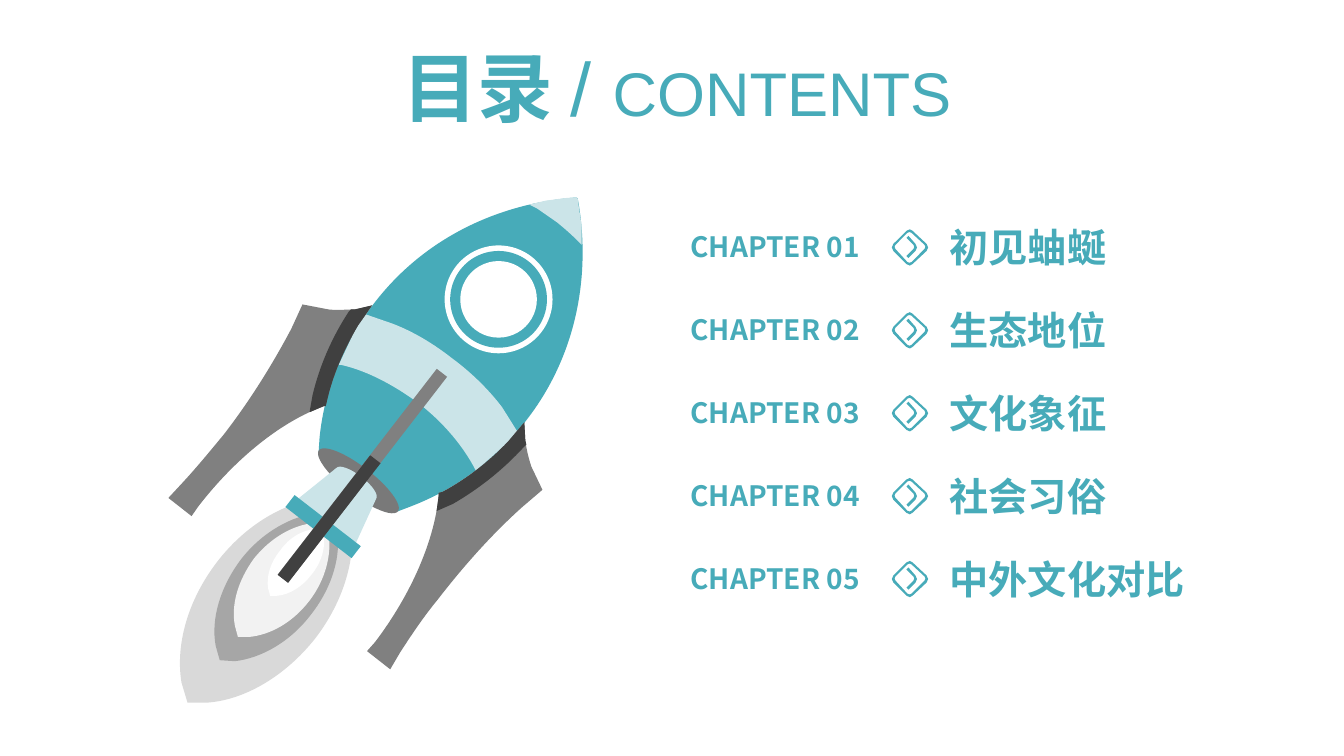
from math import cos, radians, sin

from pptx import Presentation
from pptx.dml.color import RGBColor
from pptx.enum.shapes import MSO_SHAPE as Preset
from pptx.enum.text import MSO_AUTO_SIZE as AutoSize, PP_ALIGN as Align
from pptx.oxml.ns import qn
from pptx.util import Inches, Pt

COLUMNS, ROWS = 1333, 750  # the slide grid: square cells of 0.01 inch
CELL = Inches(0.01)
TEAL, PALE, WHITE = "47ABB9", "CBE4E8", "FFFFFF"
GREY, DARK = "808080", "404040"
CJK = "Noto Sans CJK SC"
ROCKET_TILT, ICON_TILT = 37.7, 45

CHAPTERS = ["初见蚰蜒", "生态地位", "文化象征", "社会习俗", "中外文化对比"]
FIRST_ROW, ROW_STEP = 223, 329 / 4

# Chevron and rounded diamond of the first row's icon
ICON = [
    "M 901,234 L 908,242 C 910,244 910,247 908,249 L 901,256 899,254 906,247 "
    "C 907,246 907,244 906,243 L 899,236 Z",
    "M 904,231 C 903,230 901,230 900,231 L 888,243 C 887,244 887,246 888,247 "
    "L 900,260 C 901,261 903,261 904,260 L 917,247 C 918,246 918,244 917,243 Z "
    "M 905,229 L 919,242 C 921,244 921,247 919,249 L 905,262 "
    "C 904,264 901,264 899,262 L 886,249 C 884,247 884,244 886,242 "
    "L 899,229 C 901,227 904,227 905,229 Z",
]

HULL_AND_FLAMES = [
    (TEAL, "M 572,196 L 573,197 C 587,274 571,354 522,417 491,457 451,486 406,503 "
           "L 393,508 391,508 389,509 C 380,508 364,500 347,487 331,475 319,461 316,452 "
           "L 316,448 317,434 C 322,386 340,340 371,301 420,237 493,202 571,196 Z"),
    ("D9D9D9", "M 342,494 L 348,514 C 354,551 342,595 313,633 283,671 243,694 207,697 "
               "L 186,697 180,677 C 174,640 186,596 215,558 244,520 284,497 321,494 Z"),
    ("A6A6A6", "M 330,509 L 334,524 C 339,550 330,582 309,609 288,637 259,653 233,656 "
               "L 218,655 214,641 C 209,615 218,583 239,555 260,528 289,512 315,509 Z"),
    ("F2F2F2", "M 323,519 L 326,530 C 329,550 323,575 307,596 290,618 268,630 247,632 "
               "L 236,632 233,621 C 229,600 236,576 252,554 269,533 291,521 311,519 Z"),
    (WHITE, "M 319,525 L 321,531 C 323,543 319,558 309,570 300,582 287,590 275,591 "
            "L 268,591 266,584 C 264,572 268,558 278,546 287,533 300,526 312,525 Z"),
]
BAND_AND_NOSE = [
    (PALE, "M 449,356 C 468,370 485,387 498,404 L 513,428 510,432 "
           "C 506,436 502,441 497,445 L 472,467 471,465 "
           "C 460,444 441,420 415,400 388,380 361,367 338,362 L 336,362 350,332 "
           "C 353,326 356,321 360,316 L 363,312 389,321 C 410,329 430,341 449,356 Z"),
    (PALE, "M 572,196 L 573,197 C 574,206 576,216 577,226 L 577,243 571,237 "
           "C 565,231 559,226 553,221 546,216 540,212 533,207 L 525,203 542,199 "
           "C 552,198 561,196 571,196 Z"),
]
NOZZLE = [
    (PALE, "M 358,473 C 369,481 376,491 373,495 L 351,543 293,497 334,464 "
           "C 337,461 348,465 358,473 Z"),
]
FINS = [
    (GREY, "M 369,303 L 355,323 C 341,347 330,372 324,399 L 323,403 321,403 "
           "C 280,418 235,453 197,502 L 190,512 167,494 180,480 "
           "C 194,465 208,448 222,431 249,396 271,360 289,326 L 300,302 326,307 "
           "C 335,308 344,307 352,307 Z"),
    (DARK, "M 369,303 L 355,323 C 341,347 330,372 324,399 L 323,403 321,403 307,409 "
           "310,392 C 317,363 329,335 346,309 L 348,307 352,307 Z"),
    (GREY, "M 520,419 L 504,438 C 485,458 463,475 439,488 L 435,489 435,492 "
           "C 431,535 409,588 372,637 L 364,646 387,664 397,647 "
           "C 408,630 420,612 434,595 461,560 489,529 518,503 L 538,486 527,463 "
           "C 524,454 522,445 521,437 Z"),
    (DARK, "M 520,419 L 504,438 C 485,458 463,475 439,488 L 435,489 435,492 433,507 "
           "449,500 C 475,485 499,466 520,443 L 522,441 521,437 Z"),
]


def rgb(color):
    return RGBColor.from_string(color)


def cells(*counts):
    return [round(count * CELL) for count in counts]


def add_span(para, text, size=20, font=CJK, color=TEAL, bold=False):
    span = para.add_run()
    span.text = text
    span.font.size, span.font.name, span.font.bold = Pt(size), font, bold
    span.font.color.rgb = rgb(color)
    east_asian = span.font._element.makeelement(qn("a:ea"), {"typeface": CJK})
    span.font._element.append(east_asian)


class Sheet:
    """Draws on one page, with lengths in grid cells."""

    def __init__(self, deck):
        self.page = deck.slides.add_slide(deck.slide_layouts[6])

    def paint(self, shape, color, tilt):
        shape.shadow.inherit = False
        shape.fill.solid()
        shape.fill.fore_color.rgb = rgb(color)
        shape.line.fill.background()
        shape.rotation = tilt
        return shape

    def text(self, left, top, width, height, wrap=True, align=Align.LEFT):
        box = self.page.shapes.add_textbox(*cells(left, top, width, height))
        box.text_frame.word_wrap = wrap
        box.text_frame.auto_size = AutoSize.SHAPE_TO_FIT_TEXT
        para = box.text_frame.paragraphs[0]
        para.alignment = align
        return para

    def preset(self, kind, left, top, width, height, color, tilt=0):
        shape = self.page.shapes.add_shape(kind, *cells(left, top, width, height))
        return self.paint(shape, color, tilt)

    def outline(self, path, color, tilt=0, drop=0):
        """Turn a path upright, build it, then tilt the shape back into place."""
        turn = complex(cos(radians(tilt)), sin(radians(tilt)))
        builder, kinds, command = None, [], ""
        for token in path.split():
            if token == "Z":
                builder.add_line_segments([], close=True)
            elif token.isalpha():
                command = token
            else:
                column, row = map(int, token.split(","))
                point = complex(column, row + drop) * CELL / turn
                if command != "M":
                    builder.add_line_segments([(point.real, point.imag)], close=False)
                    kinds.append(command)
                elif builder:
                    builder.move_to(point.real, point.imag)
                else:
                    builder = self.page.shapes.build_freeform(point.real, point.imag)
        shape = builder.convert_to_shape()

        # Join each three curve points into one Bezier segment
        segments = iter(list(zip(kinds, shape.element.iter(qn("a:lnTo")))))
        for kind, segment in segments:
            if kind == "C":
                segment.tag = qn("a:cubicBezTo")
                for _ in range(2):
                    extra = next(segments)[1]
                    segment.append(extra[0])
                    extra.getparent().remove(extra)

        half = complex(shape.width, shape.height) / 2
        corner = (complex(shape.left, shape.top) + half) * turn - half
        shape.left, shape.top = round(corner.real), round(corner.imag)
        return self.paint(shape, color, tilt)

    def group(self, parts):
        self.page.shapes.add_group_shape(parts)


def draw_chapters(sheet):
    for index, name in enumerate(CHAPTERS):
        drop = index * ROW_STEP
        label = sheet.text(675, FIRST_ROW + drop, 198, 44, wrap=False)
        add_span(label, f"CHAPTER {index + 1:02}", bold=True)
        heading = sheet.text(932, FIRST_ROW - 6 + drop, 278, 57)
        add_span(heading, name, size=28, bold=True)
        sheet.group([sheet.outline(path, TEAL, ICON_TILT, drop) for path in ICON])


def draw_rocket(sheet):
    def outlines(pieces):
        return [sheet.outline(path, color, ROCKET_TILT) for color, path in pieces]

    def preset(kind, *place_and_color):
        return sheet.preset(kind, *place_and_color, ROCKET_TILT)

    parts = outlines(HULL_AND_FLAMES)
    parts.append(preset(Preset.OVAL, 306, 463, 99, 28, "797979"))
    parts += outlines(BAND_AND_NOSE)
    # Porthole rings share one centre
    for size, color in [(107, WHITE), (96, TEAL), (76, WHITE)]:
        parts.append(preset(Preset.OVAL, 494.5 - size / 2, 297 - size / 2, size, size, color))
    parts += outlines(NOZZLE)
    # Collar, then the two parts of the middle fin
    for place in [(279, 515, 83, 15, TEAL), (353, 343, 13, 258, GREY), (320, 440, 13, 150, DARK)]:
        parts.append(preset(Preset.RECTANGLE, *place))
    parts += outlines(FINS)
    sheet.group(parts)


def main():
    deck = Presentation()
    deck.slide_width, deck.slide_height = cells(COLUMNS, ROWS)
    sheet = Sheet(deck)
    draw_chapters(sheet)
    draw_rocket(sheet)

    # Title
    title = sheet.text(330, 36, 683, 101, align=Align.CENTER)
    add_span(title, "目录 ", size=54, font="Arial", bold=True)
    add_span(title, "/ ", size=54, font="Arial")
    add_span(title, "CONTENTS", size=44, font="Arial")
    deck.save("out.pptx")


if __name__ == "__main__":
    main()
